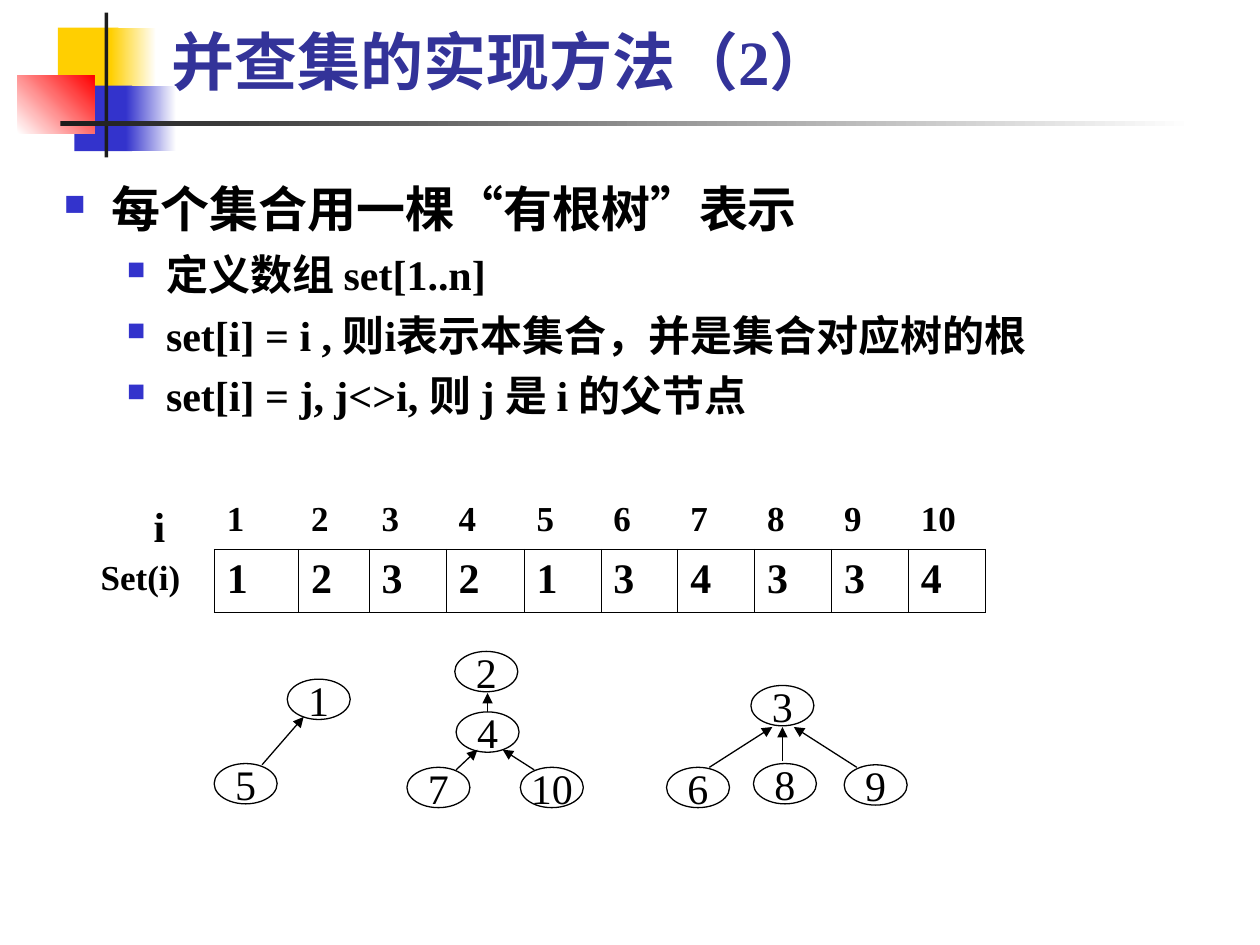
from lxml.etree import SubElement
from pptx import Presentation
from pptx.dml.color import RGBColor
from pptx.enum.shapes import MSO_CONNECTOR, MSO_SHAPE
from pptx.enum.text import MSO_ANCHOR, MSO_AUTO_SIZE, PP_ALIGN
from pptx.oxml import parse_xml
from pptx.oxml.ns import nsdecls, qn
from pptx.util import Inches, Pt

FONT = "Times New Roman"
BLACK = RGBColor(0x00, 0x00, 0x00)
WHITE = RGBColor(0xFF, 0xFF, 0xFF)
CHARCOAL = RGBColor(0x1C, 0x1C, 0x1C)
YELLOW = RGBColor(0xFF, 0xCF, 0x01)
BLUE = RGBColor(0x33, 0x33, 0xCC)
RED = RGBColor(0xFF, 0x00, 0x00)
TITLE_BLUE = RGBColor(0x33, 0x33, 0x99)

BULLETS = [
    (0, "每个集合用一棵“有根树”表示"),
    (1, "定义数组 set[1..n]"),
    (1, "set[i] = i , 则i表示本集合，并是集合对应树的根"),
    (1, "set[i] = j, j<>i, 则 j 是 i 的父节点"),
]
# level: text size, left margin, hanging indent, space before
LEVELS = {0: (28, 0.38, 0.38, 0), 1: (24, 0.81, 0.31, 6)}

PARENTS = [1, 2, 3, 2, 1, 3, 4, 3, 3, 4]
COLUMN_WIDTHS = [0.67, 0.56, 0.61, 0.62] + [0.61] * 6

# Tree origin, nodes by label, arrows from child to parent
TREES = [
    ((1.7, 5.39), {"1": (0.58, 0), "5": (0, 0.67)},
     [((0.38, 0.68), (0.71, 0.3))]),
    ((3.23, 5.17),
     {"2": (0.38, 0), "4": (0.39, 0.48), "7": (0, 0.92), "10": (0.9, 0.92)},
     [((0.39, 0.94), (0.56, 0.78)), ((1.01, 0.94), (0.76, 0.78)),
      ((0.64, 0.48), (0.64, 0.33))]),
    ((5.29, 5.44),
     {"3": (0.67, 0), "6": (0, 0.65), "8": (0.69, 0.62), "9": (1.41, 0.63)},
     [((0.34, 0.65), (0.84, 0.33)), ((0.92, 0.6), (0.92, 0.33)),
      ((1.51, 0.65), (1.01, 0.33))]),
]


def set_font(paragraph, size, color=BLACK, bold=True):
    font = paragraph.font
    font.name, font.size, font.bold = FONT, Pt(size), bold
    font.color.rgb = color


def add_block(slide, left, top, width, height, start, end=None, angle=0):
    block = slide.shapes.add_shape(
        MSO_SHAPE.RECTANGLE, Inches(left), Inches(top), Inches(width), Inches(height))
    block.shadow.inherit = False
    block.line.fill.background()
    if end is None:
        block.fill.solid()
        block.fill.fore_color.rgb = start
    else:
        block.fill.gradient()
        block.fill.gradient_angle = angle
        for stop, color, position in zip(block.fill.gradient_stops, (start, end), (0, 1)):
            stop.color.rgb = color
            stop.position = position


def add_ornament(slide, left, top):
    # Coloured squares
    add_block(slide, left + 0.32, top + 0.12, 0.48, 0.52, YELLOW)
    add_block(slide, left + 0.74, top + 0.12, 0.36, 0.52, YELLOW, WHITE)
    add_block(slide, left + 0.45, top + 0.58, 0.46, 0.52, BLUE)
    add_block(slide, left + 0.86, top + 0.58, 0.4, 0.52, BLUE, WHITE)
    add_block(slide, left, top + 0.5, 0.61, 0.46, WHITE, RED, 45)
    # Crossing bars
    add_block(slide, left + 0.69, top, 0.03, 1.15, CHARCOAL)
    add_block(slide, left + 0.34, top + 0.86, 9, 0.04, CHARCOAL, WHITE)


def place_title(slide, left, top, width, height):
    title = slide.shapes.title
    title.left, title.top = Inches(left), Inches(top)
    title.width, title.height = Inches(width), Inches(height)
    frame = title.text_frame
    frame.text = "并查集的实现方法（2）"
    frame.auto_size = MSO_AUTO_SIZE.NONE
    frame.vertical_anchor = MSO_ANCHOR.BOTTOM
    heading = frame.paragraphs[0]
    heading.alignment = PP_ALIGN.LEFT
    set_font(heading, 36, TITLE_BLUE)


def add_bullets(slide, left, top, width, height):
    frame = slide.shapes.add_textbox(
        Inches(left), Inches(top), Inches(width), Inches(height)).text_frame
    frame.word_wrap = True
    for index, (level, text) in enumerate(BULLETS):
        point = frame.paragraphs[0] if index == 0 else frame.add_paragraph()
        size, margin, hanging, before = LEVELS[level]
        point.text = text
        point.level = level
        point.space_before = Pt(before)
        properties = point._p.get_or_add_pPr()
        properties.set("marL", str(Inches(margin)))
        properties.set("indent", str(-Inches(hanging)))
        bullet_color = SubElement(properties, qn("a:buClr"))
        SubElement(bullet_color, qn("a:srgbClr"), val=str(BLUE))
        SubElement(properties, qn("a:buSzPct"), val="60000")
        SubElement(properties, qn("a:buChar"), char="■")
        set_font(point, size)


def add_borders(cell, sides):
    properties = cell._tc.get_or_add_tcPr()
    for side in sides:
        properties.append(parse_xml(
            f'<a:ln{side} {nsdecls("a")} w="{Pt(0.45)}"><a:solidFill>'
            f'<a:srgbClr val="{BLACK}"/></a:solidFill></a:ln{side}>'))


def add_array_table(slide, left, top):
    table = slide.shapes.add_table(
        2, len(PARENTS), Inches(left), Inches(top),
        Inches(sum(COLUMN_WIDTHS)), Inches(0.94)).table
    table.first_row = table.horz_banding = False
    for column, width in zip(table.columns, COLUMN_WIDTHS):
        column.width = Inches(width)
    rows = [(range(1, len(PARENTS) + 1), 0.44, 20, "B"), (PARENTS, 0.5, 24, "LRTB")]
    for row_index, (values, height, size, sides) in enumerate(rows):
        table.rows[row_index].height = Inches(height)
        for column_index, value in enumerate(values):
            cell = table.cell(row_index, column_index)
            cell.text = str(value)
            add_borders(cell, sides)
            cell.fill.background()
            set_font(cell.text_frame.paragraphs[0], size)


def add_row_label(slide, left, top, width, height, text, size):
    frame = slide.shapes.add_textbox(
        Inches(left), Inches(top), Inches(width), Inches(height)).text_frame
    frame.text = text
    set_font(frame.paragraphs[0], size)


def add_tree(slide, left, top, nodes, arrows):
    for label, (x, y) in nodes.items():
        node = slide.shapes.add_shape(
            MSO_SHAPE.OVAL, Inches(left + x), Inches(top + y), Inches(0.5), Inches(0.32))
        node.shadow.inherit = False
        node.fill.solid()
        node.fill.fore_color.rgb = WHITE
        node.line.color.rgb = BLACK
        node.line.width = Pt(0.75)
        frame = node.text_frame
        frame.text = label
        frame.word_wrap = False
        frame.vertical_anchor = MSO_ANCHOR.MIDDLE
        frame.paragraphs[0].alignment = PP_ALIGN.CENTER
        set_font(frame.paragraphs[0], 24, bold=False)
    for (child_x, child_y), (parent_x, parent_y) in arrows:
        arrow = slide.shapes.add_connector(
            MSO_CONNECTOR.STRAIGHT, Inches(left + child_x), Inches(top + child_y),
            Inches(left + parent_x), Inches(top + parent_y))
        arrow.line.color.rgb = BLACK
        arrow.line.width = Pt(0.75)
        SubElement(arrow.line._get_or_add_ln(), qn("a:tailEnd"), type="triangle")
        SubElement(arrow._element.spPr, qn("a:effectLst"))


def main():
    presentation = Presentation()
    presentation.slide_width, presentation.slide_height = Inches(10), Inches(7.5)
    slide = presentation.slides.add_slide(presentation.slide_layouts[5])
    add_ornament(slide, 0.14, 0.1)
    place_title(slide, 1.26, 0.23, 8.52, 0.6)
    add_bullets(slide, 0.41, 1.37, 9.17, 2.46)
    add_array_table(slide, 1.7, 3.92)
    add_row_label(slide, 1.12, 3.92, 0.29, 0.5, "i", 24)
    add_row_label(slide, 0.7, 4.36, 0.92, 0.44, "Set(i)", 20)
    for (left, top), nodes, arrows in TREES:
        add_tree(slide, left, top, nodes, arrows)
    presentation.save("out.pptx")


if __name__ == "__main__":
    main()
